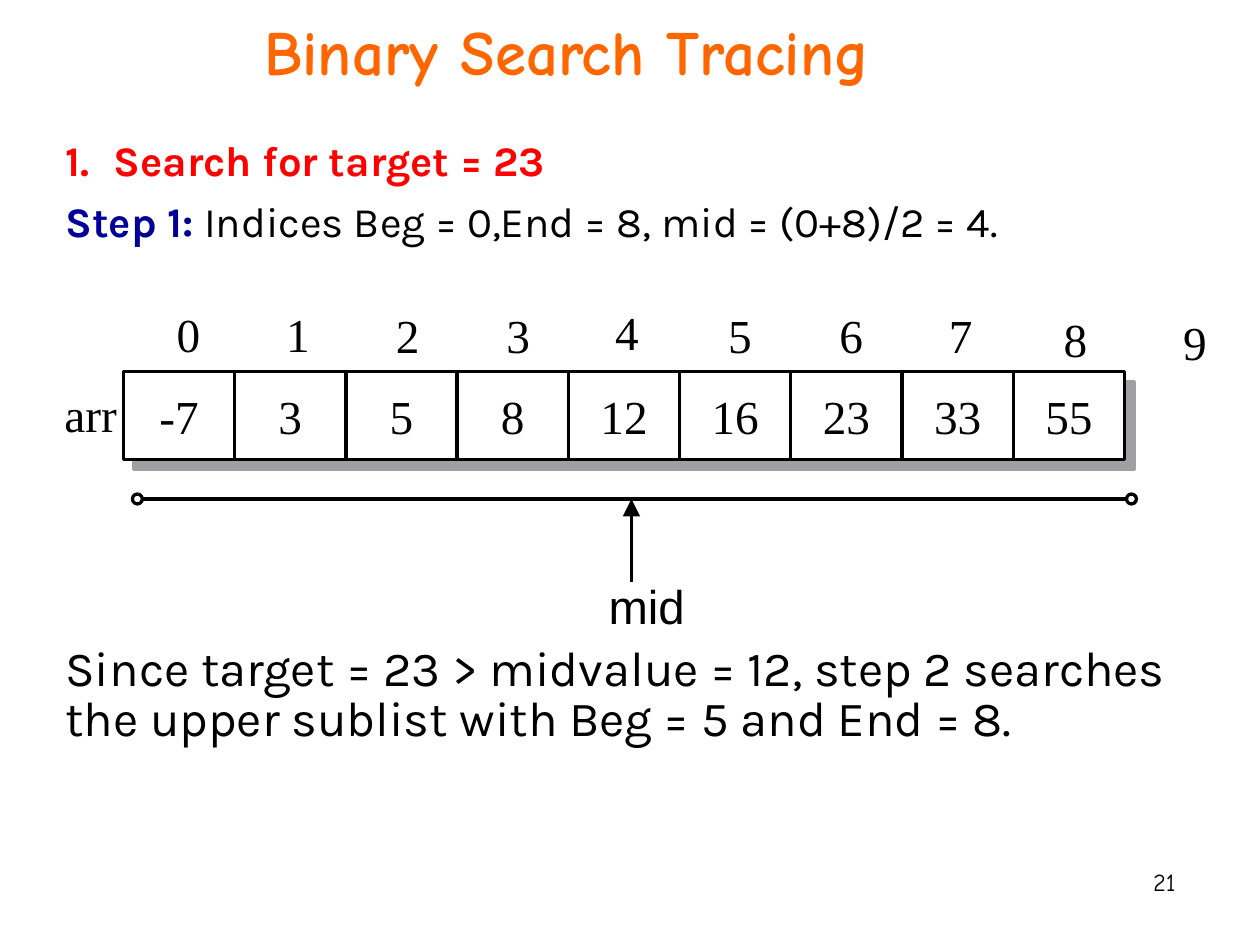
from dataclasses import dataclass

from pptx import Presentation
from pptx.dml.color import RGBColor
from pptx.enum.shapes import MSO_CONNECTOR as Connector, MSO_SHAPE as Shape
from pptx.enum.text import MSO_ANCHOR as Anchor, PP_ALIGN as Align
from pptx.oxml.ns import qn
from pptx.util import Cm, Pt
from lxml.etree import SubElement


@dataclass(frozen=True)
class Theme:
    """Colours, fonts, type sizes and line widths of the slide."""
    black: str = "000000"
    white: str = "FFFFFF"
    title: str = "FF6600"
    task: str = "FF0000"
    step: str = "000099"
    shadow: str = "A0A0A4"
    heading_font: str = "Comic Neue"
    body_font: str = "Karla"
    array_font: str = "Times New Roman"
    pointer_font: str = "Arial"
    title_size: float = 36
    step_size: float = 24
    result_size: float = 28
    array_size: float = 27
    number_size: float = 14
    outline: float = 1.87
    arrow: float = 1.39


@dataclass(frozen=True)
class Box:
    """A rectangle in centimetres."""
    left: float
    top: float
    width: float
    height: float

    def place(self, left, top, width, height):
        """Return a box placed relative to this one."""
        return Box(self.left + left, self.top + top, width, height)

    def lengths(self):
        """Return left, top, width and height as slide lengths."""
        return [Cm(v) for v in (self.left, self.top, self.width, self.height)]


THEME = Theme()
VALUES = [-7, 3, 5, 8, 12, 16, 23, 33, 55]
INDEX_PLACES = [(1.07, 0.03), (3.28, 0.03), (5.49, 0.05), (7.72, 0.05), (9.91, 0),
                (12.19, 0.05), (14.43, 0.05), (16.64, 0.05), (18.95, 0.13), (21.36, 0.2)]


def write(frame, paragraphs, *, font, size, color=THEME.black, bold=False, align=Align.LEFT,
          anchor=Anchor.TOP, wrap=True, inset=(0.25, 0.13), line_spacing=None,
          space_before=None, tab=None):
    """Fill a text frame with paragraphs of (text, overrides) runs."""
    frame.word_wrap = wrap
    frame.vertical_anchor = anchor
    frame.margin_left = frame.margin_right = Cm(inset[0])
    frame.margin_top = frame.margin_bottom = Cm(inset[1])
    for number, runs in enumerate(paragraphs):
        paragraph = frame.add_paragraph() if number else frame.paragraphs[0]
        paragraph.alignment = align
        if line_spacing:
            paragraph.line_spacing = line_spacing
        if space_before:
            paragraph.space_before = Pt(space_before)
        if tab:
            tabs = SubElement(paragraph._p.get_or_add_pPr(), qn("a:tabLst"))
            SubElement(tabs, qn("a:tab"), pos=str(int(Cm(tab))), algn="l")
        for text, overrides in runs:
            run = paragraph.add_run()
            run.text = text
            run.font.name = font
            run.font.size = Pt(size)
            run.font.bold = overrides.get("bold", bold)
            run.font.color.rgb = RGBColor.from_string(overrides.get("color", color))


def add_text(slide, box, text, **style):
    """Add a text box holding one string or a list of paragraphs."""
    paragraphs = [[(text, {})]] if isinstance(text, str) else text
    write(slide.shapes.add_textbox(*box.lengths()).text_frame, paragraphs, **style)


def add_label(slide, box, text, font=THEME.array_font):
    """Add a short unwrapped label of the array drawing."""
    add_text(slide, box, text, font=font, size=THEME.array_size, wrap=False, inset=(0, 0))


def add_outline(slide, kind, box, fill=None, line=THEME.black):
    """Add a preset shape with an outline and an optional fill."""
    shape = slide.shapes.add_shape(kind, *box.lengths())
    shape.shadow.inherit = False
    if fill:
        shape.fill.solid()
        shape.fill.fore_color.rgb = RGBColor.from_string(fill)
    else:
        shape.fill.background()
    shape.line.color.rgb = RGBColor.from_string(line)
    shape.line.width = Pt(THEME.outline)
    return shape


def add_line(slide, start, end, width, arrow=False):
    """Add a straight line, with an arrowhead at its end if asked."""
    connector = slide.shapes.add_connector(Connector.STRAIGHT,
                                           *(Cm(v) for v in (*start, *end)))
    connector.line.color.rgb = RGBColor.from_string(THEME.black)
    connector.line.width = Pt(width)
    properties = connector._element.spPr
    if arrow:
        SubElement(properties.get_or_add_ln(), qn("a:tailEnd"),
                   type="triangle", w="lg", len="lg")
    SubElement(properties, qn("a:effectLst"))


def add_title(slide, box):
    """Place the slide title."""
    add_text(slide, box, "Binary Search Tracing ", font=THEME.heading_font,
             size=THEME.title_size, color=THEME.title, bold=True, align=Align.CENTER,
             anchor=Anchor.BOTTOM)


def add_step(slide, box):
    """Place the task and the first step."""
    paragraphs = [
        [("1.\tSearch for target = 23", {"color": THEME.task, "bold": True})],
        [("Step 1: ", {"color": THEME.step, "bold": True}),
         ("Indices Beg = 0,End = 8, mid = (0+8)/2 = 4.", {})],
    ]
    add_text(slide, box, paragraphs, font=THEME.body_font, size=THEME.step_size,
             line_spacing=0.85, space_before=10.5, tab=0.97)


def add_indices(slide, box):
    """Place the index numbers above the array."""
    for index, (left, top) in enumerate(INDEX_PLACES):
        add_label(slide, box.place(left, top, 0.48, box.height), str(index))


def add_array(slide, box):
    """Place the array name and its row of shadowed cells."""
    add_label(slide, box.place(-1.19, 0.28, 1.07, 1.14), "arr")
    width = box.width / len(VALUES)
    for index, value in enumerate(VALUES):
        cell_box = box.place(index * width, 0, width, box.height)
        shadow_box = cell_box.place(0.2, 0.2, width, box.height)
        add_outline(slide, Shape.RECTANGLE, shadow_box, THEME.shadow, THEME.shadow)
        cell = add_outline(slide, Shape.RECTANGLE, cell_box, THEME.white)
        write(cell.text_frame, [[(str(value), {})]], font=THEME.array_font,
              size=THEME.array_size, align=Align.CENTER, anchor=Anchor.MIDDLE, inset=(0, 0))


def add_range(slide, box):
    """Place the searched range with its end rings and the mid pointer."""
    ring = 0.2
    right, middle = box.left + box.width, box.top + ring / 2
    for left in (0, box.width - ring):
        add_outline(slide, Shape.OVAL, box.place(left, 0, ring, ring))
    add_line(slide, (box.left + ring, middle), (right - ring, middle), THEME.outline)
    pointer = box.left + box.width / 2 - 0.06
    add_line(slide, (pointer, box.top + 1.78), (pointer, middle), THEME.arrow, arrow=True)
    add_label(slide, box.place(9.6, 1.68, 1.55, 1.14), "mid", THEME.pointer_font)


def add_result(slide, box):
    """Place the conclusion of the step."""
    add_text(slide, box, "Since target = 23 > midvalue = 12, step 2 searches the upper "
             "sublist with Beg = 5 and End = 8.", font=THEME.body_font,
             size=THEME.result_size, line_spacing=0.85, space_before=12.2)


def add_number(slide, box):
    """Place the slide number."""
    add_text(slide, box, "21", font=THEME.heading_font, size=THEME.number_size,
             align=Align.RIGHT)


def main():
    """Build and save the slide."""
    presentation = Presentation()
    presentation.slide_width, presentation.slide_height = Cm(25.4), Cm(19.05)
    slide = presentation.slides.add_slide(presentation.slide_layouts[6])
    add_number(slide, Box(18.67, 17.35, 5.28, 1.27))
    add_title(slide, Box(1.07, 0.43, 21.16, 1.47))
    add_step(slide, Box(1.07, 2.74, 23.06, 2.36))
    add_result(slide, Box(1.07, 12.9, 23.29, 3.28))
    add_range(slide, Box(2.67, 9.96, 20.24, 2.82))
    add_array(slide, Box(2.49, 7.49, 20.18, 1.78))
    add_indices(slide, Box(2.49, 6.12, 21.84, 1.14))
    presentation.save("out.pptx")


if __name__ == "__main__":
    main()
